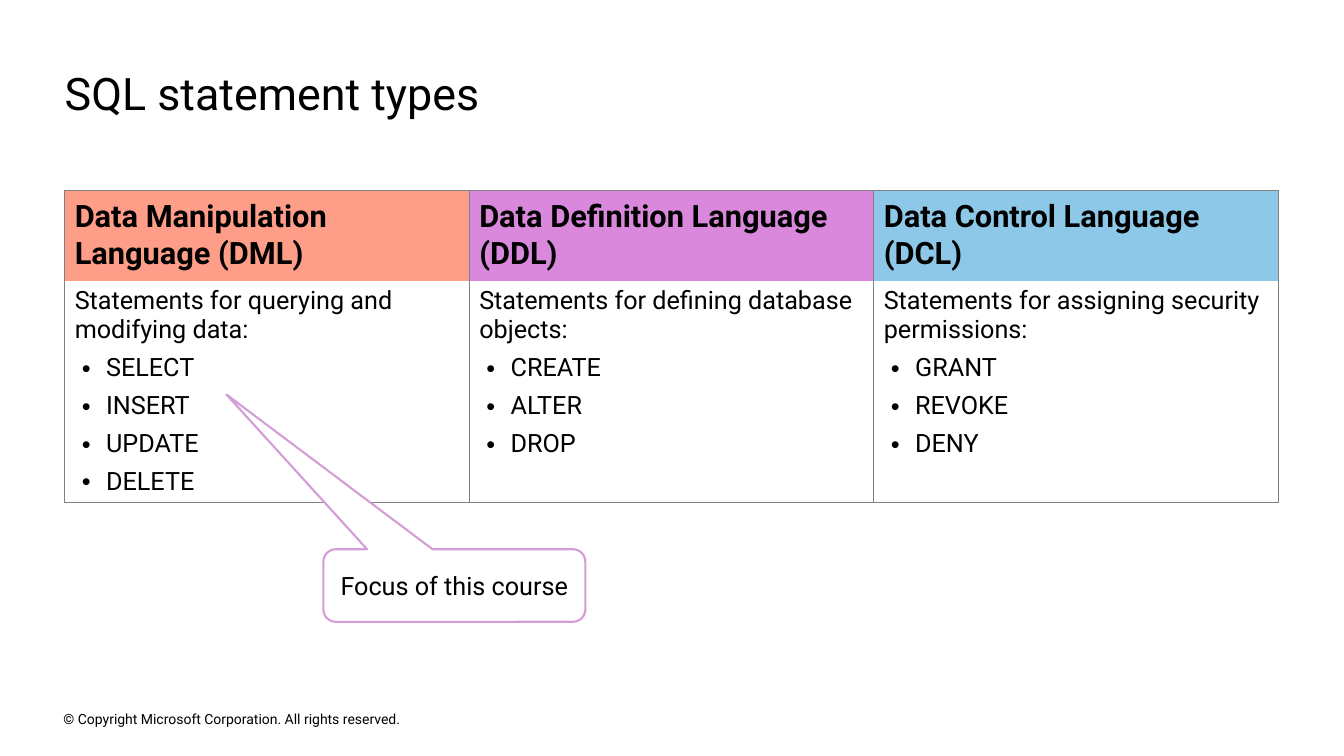
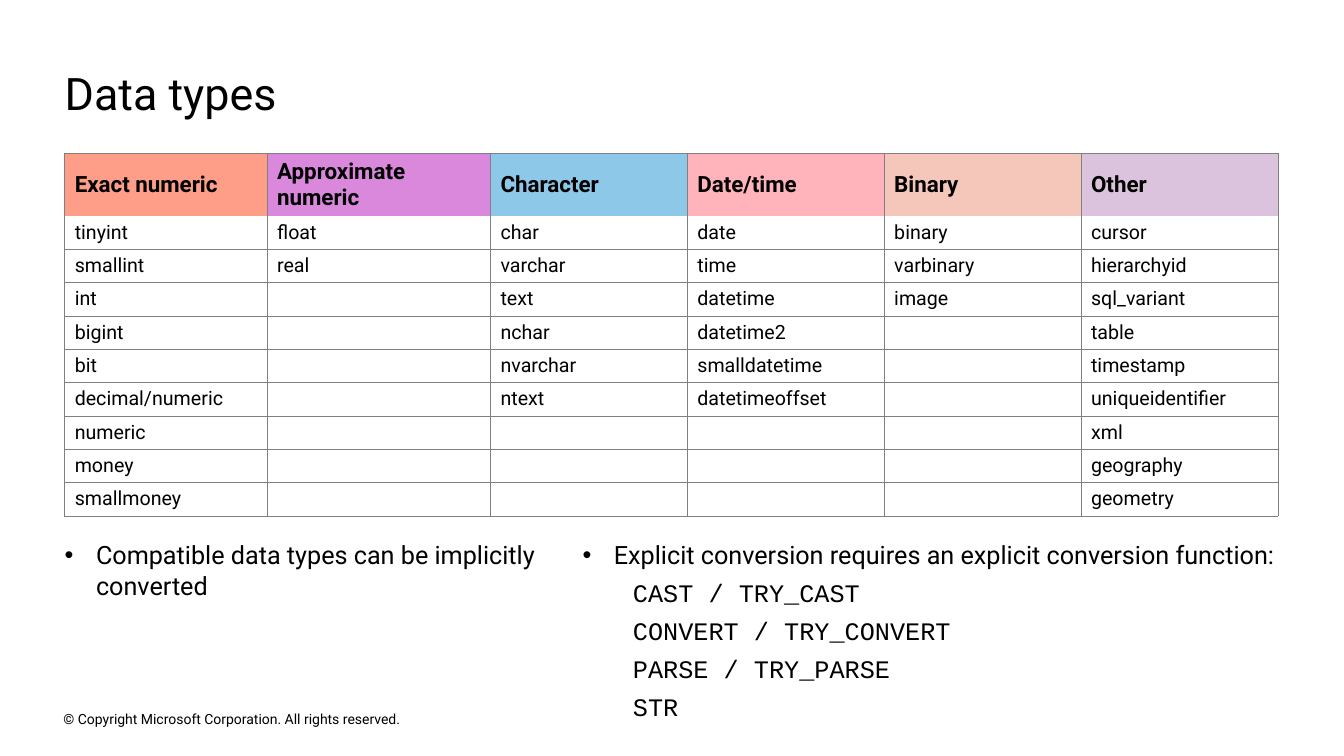
from dataclasses import dataclass
from itertools import zip_longest

from lxml import etree
from pptx import Presentation
from pptx import util as u
from pptx.dml.color import RGBColor
from pptx.enum import shapes, text
from pptx.oxml import ns
from pptx.util import Cm, Pt


@dataclass(frozen=True)
class Theme:
    font: str = "Roboto"
    code_font: str = "Courier New"
    ink: str = "000000"
    paper: str = "FFFFFF"
    grid: str = "808080"
    callout: str = "D59DD7"
    headers: tuple = ("FE9D88", "D988DC", "8DC8E8", "FFB3BB", "F5C7BB", "DCC3DD")
    title: int = 32
    heading: int = 22
    body: int = 18
    column_head: int = 16
    cell: int = 14
    footer: int = 10


THEME = Theme()
LEFT, WIDTH = 1.63, 30.58
TITLE_ONLY, TWO_CONTENT = 5, 3
FOOTER = "© Copyright Microsoft Corporation. All rights reserved."


def rgb(value):
    return RGBColor.from_string(value)


def add_xml(parent, tag, **attrs):
    return etree.SubElement(parent, ns.qn(tag), attrs)


def write(tf, content, *, size=THEME.body, font=THEME.font, bold=False, first=True,
          align=text.PP_ALIGN.LEFT, level=0, bullet=False, left=0, hang=0, after=0):
    """Put one paragraph into tf: the first one, or a further one."""
    p = tf.paragraphs[0] if first else tf.add_paragraph()
    p.alignment, p.level = align, level
    p.space_before, p.space_after = Pt(0), Pt(after)
    pPr = p._p.get_or_add_pPr()
    pPr.set("marL", str(Cm(left)))
    pPr.set("indent", str(-Cm(hang)))
    if bullet:
        add_xml(pPr, "a:buFont", typeface="Arial")
        add_xml(pPr, "a:buChar", char="•")
    else:
        add_xml(pPr, "a:buNone")
    if not content:
        # Keeps an empty table cell as low as a filled one.
        end = add_xml(p._p, "a:endParaRPr", sz=str(size * 100))
        add_xml(end, "a:latin", typeface=font)
        return
    r = p.add_run()
    r.text = content
    r.font.name, r.font.size, r.font.bold = font, Pt(size), bold
    r.font.color.rgb = rgb(THEME.ink)


def frame(tf, anchor=text.MSO_ANCHOR.TOP, margin=0):
    tf.word_wrap = True
    tf.auto_size = text.MSO_AUTO_SIZE.NONE
    tf.vertical_anchor = anchor
    tf.margin_left = tf.margin_right = tf.margin_top = tf.margin_bottom = Cm(margin)
    return tf


def place(sp, left, top, width, height):
    sp.left, sp.top, sp.width, sp.height = map(Cm, (left, top, width, height))


def border(cell, sides):
    """Draw the named sides (of L, R, T, B) and switch the others off."""
    tcPr = cell._tc.get_or_add_tcPr()
    for side in "LRTB":
        ln = add_xml(tcPr, f"a:ln{side}", w=str(Pt(0.5)))
        if side in sides:
            add_xml(add_xml(ln, "a:solidFill"), "a:srgbClr", val=THEME.grid)
        else:
            add_xml(ln, "a:noFill")


class Deck:
    """The presentation, its style and the slide being filled."""

    def __init__(self):
        self.prs = Presentation()
        self.prs.slide_width, self.prs.slide_height = u.Inches(13.333), u.Inches(7.5)
        self.s = None

    def slide(self, title, layout):
        self.s = self.prs.slides.add_slide(self.prs.slide_layouts[layout])
        sp = self.s.shapes.title
        place(sp, LEFT, 1.63, WIDTH, 1.37)
        write(frame(sp.text_frame, text.MSO_ANCHOR.BOTTOM), title, size=THEME.title)
        sp = self.s.shapes.add_textbox(Cm(1.6), Cm(17.83), Cm(11.53), Cm(0.56))
        write(frame(sp.text_frame, text.MSO_ANCHOR.MIDDLE), FOOTER, size=THEME.footer)

    def table(self, top, widths, heights, heads, head_size):
        """Add a ruled table with coloured heads; return its body rows."""
        sp = self.s.shapes.add_table(len(heights), len(widths), Cm(LEFT), Cm(top),
                                     Cm(sum(widths)), Cm(sum(heights)))
        tbl = sp.table
        tbl.first_row = tbl.horz_banding = False
        for column, width in zip(tbl.columns, widths):
            column.width = Cm(width)
        for i, (row, height) in enumerate(zip(tbl.rows, heights)):
            row.height = Cm(height)
            for cell, color in zip(row.cells, THEME.headers):
                border(cell, {0: "LRT", 1: "LRB"}.get(i, "LRTB"))
                cell.fill.solid()
                cell.fill.fore_color.rgb = rgb(THEME.paper if i else color)
                cell.vertical_anchor = text.MSO_ANCHOR.MIDDLE
        for cell, head in zip(tbl.rows[0].cells, heads):
            write(cell.text_frame, head, size=head_size, bold=True)
        return list(tbl.rows)[1:]

    def callout(self, content, left, top, width, height, adjustments):
        sp = self.s.shapes.add_shape(shapes.MSO_SHAPE.ROUNDED_RECTANGULAR_CALLOUT,
                                     Cm(left), Cm(top), Cm(width), Cm(height))
        for i, value in enumerate(adjustments):
            sp.adjustments[i] = value
        sp.shadow.inherit = False
        sp.fill.solid()
        sp.fill.fore_color.rgb = rgb(THEME.paper)
        sp.line.color.rgb, sp.line.width = rgb(THEME.callout), Pt(1.5)
        write(frame(sp.text_frame, text.MSO_ANCHOR.MIDDLE, 0.13), content,
              align=text.PP_ALIGN.CENTER)

    def bullet_list(self, idx, box, lead, code=()):
        """Fill a body placeholder with one bullet and lines of code under it."""
        sp = self.s.placeholders[idx]
        place(sp, *box)
        tf = frame(sp.text_frame)
        write(tf, lead, bullet=True, left=0.79, hang=0.79, after=5.5)
        for line in code:
            write(tf, line, first=False, font=THEME.code_font, level=1, left=1.27,
                  after=5.5)


def statement_types(deck):
    columns = {
        "Data Manipulation Language (DML)": (
            "Statements for querying and modifying data:",
            "SELECT", "INSERT", "UPDATE", "DELETE"),
        "Data Definition Language (DDL)": (
            "Statements for defining database objects:", "CREATE", "ALTER", "DROP"),
        "Data Control Language (DCL)": (
            "Statements for assigning security permissions:",
            "GRANT", "REVOKE", "DENY"),
    }
    deck.slide("SQL statement types", TITLE_ONLY)
    body, = deck.table(4.79, [WIDTH / 3] * 3, [2.29, 5.57], columns, THEME.heading)
    for cell, (purpose, *statements) in zip(body.cells, columns.values()):
        cell.vertical_anchor = text.MSO_ANCHOR.TOP
        write(cell.text_frame, purpose, after=6)
        for statement in statements:
            write(cell.text_frame, statement, first=False, bullet=True,
                  left=0.79, hang=0.61, after=6)
    deck.callout("Focus of this course", 8.15, 13.84, 6.6, 1.83, (-0.87, -2.63, 0.17))


def data_types(deck):
    types = {
        "Exact numeric": "tinyint smallint int bigint bit decimal/numeric numeric "
                         "money smallmoney",
        "Approximate numeric": "float real",
        "Character": "char varchar text nchar nvarchar ntext",
        "Date/time": "date time datetime datetime2 smalldatetime datetimeoffset",
        "Binary": "binary varbinary image",
        "Other": "cursor hierarchyid sql_variant table timestamp uniqueidentifier "
                 "xml geography geometry",
    }
    grid = list(zip_longest(*(names.split() for names in types.values()), fillvalue=""))
    deck.slide("Data types", TWO_CONTENT)
    rows = deck.table(3.87, [5.1, 5.63] + [4.96] * 4, [1.57] + [0.84] * len(grid),
                      types, THEME.column_head)
    for row, names in zip(rows, grid):
        for cell, name in zip(row.cells, names):
            write(cell.text_frame, name, size=THEME.cell)
    deck.bullet_list(1, (LEFT, 13.6, 11.86, 1.55),
                     "Compatible data types can be implicitly converted")
    deck.bullet_list(2, (14.68, 13.6, 17.53, 4.42),
                     "Explicit conversion requires an explicit conversion function:",
                     ("CAST / TRY_CAST", "CONVERT / TRY_CONVERT",
                      "PARSE / TRY_PARSE", "STR"))


def main():
    deck = Deck()
    statement_types(deck)
    data_types(deck)
    deck.prs.save("out.pptx")


if __name__ == "__main__":
    main()
